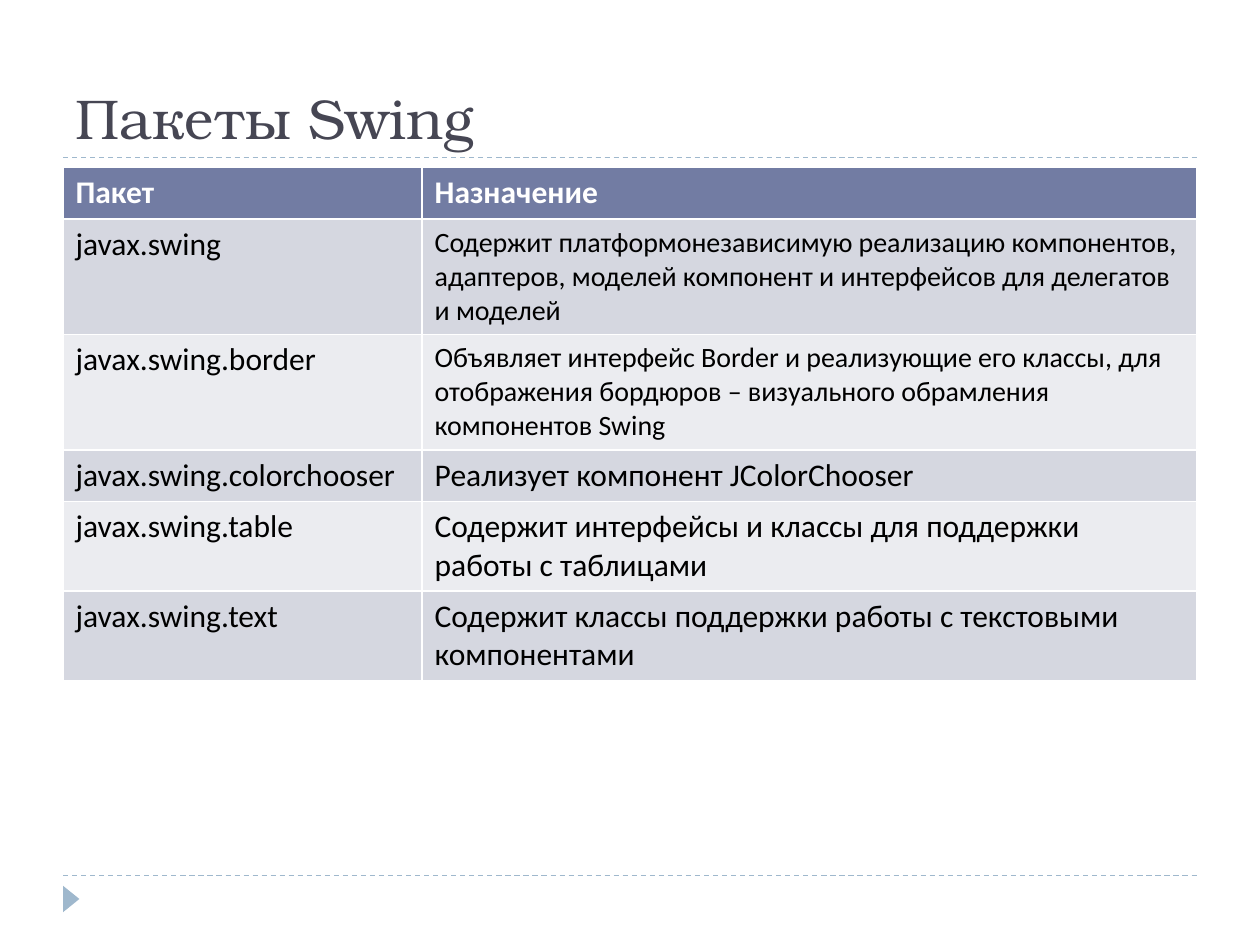
from lxml import etree
from pptx import Presentation
from pptx.dml.color import RGBColor
from pptx.enum.dml import MSO_LINE
from pptx.enum.shapes import MSO_CONNECTOR, MSO_SHAPE
from pptx.enum.text import MSO_ANCHOR, MSO_AUTO_SIZE, PP_ALIGN
from pptx.oxml.ns import qn
from pptx.util import Inches, Pt

DASH = MSO_LINE.DASH
STRAIGHT = MSO_CONNECTOR.STRAIGHT
TRIANGLE = MSO_SHAPE.ISOSCELES_TRIANGLE
BOTTOM = MSO_ANCHOR.BOTTOM
LEFT = PP_ALIGN.LEFT
FIXED = MSO_AUTO_SIZE.NONE

TITLE = "Пакеты Swing"
HEAD = ("Пакет", "Назначение")
ROWS = [
    ("javax.swing",
     "Содержит платформонезависимую реализацию компонентов, адаптеров, "
     "моделей компонент и интерфейсов для делегатов и моделей", "small"),
    ("javax.swing.border",
     "Объявляет интерфейс Border и реализующие его классы, для отображения "
     "бордюров – визуального обрамления компонентов Swing", "small"),
    ("javax.swing.colorchooser", "Реализует компонент JColorChooser", "body"),
    ("javax.swing.table",
     "Содержит интерфейсы и классы для поддержки\nработы с таблицами", "body"),
    ("javax.swing.text",
     "Содержит классы поддержки работы с текстовыми\nкомпонентами", "body"),
]
THEME = {
    "serif": "TeX Gyre Bonum", "sans": "Calibri",
    "title": 32, "body": 18, "small": 16,
    "dark": "464653", "accent": "9FB8CD", "head": "727CA3",
    "bands": ("D5D7E0", "EBECF0"), "white": "FFFFFF", "black": "000000",
}
EDGE, WIDTH = 0.5, 9
RULES = (6.95, 1.25)
COLS = (2.85, 6.15)
TOP, STEP = 1.33, 0.41


def color(name):
    return RGBColor.from_string(THEME.get(name, name))


def style(frame, face, size, ink, bold=False):
    for para in frame.paragraphs:
        para.alignment = LEFT
        font = para.font
        font.name, font.size, font.bold = THEME[face], Pt(THEME[size]), bold
        font.color.rgb = color(ink)


def fill(item, name):
    item.fill.solid()
    item.fill.fore_color.rgb = color(name)


def put(cell, text, size, ink, back, bold=False):
    cell.text_frame.text = text
    style(cell.text_frame, "sans", size, ink, bold)
    fill(cell, back)


deck = Presentation()
deck.slide_width, deck.slide_height = Inches(10), Inches(7.5)
slide = deck.slides.add_slide(deck.slide_layouts[5])
shapes = slide.shapes

for y in RULES:
    rule = shapes.add_connector(
        STRAIGHT, Inches(EDGE), Inches(y), Inches(EDGE + WIDTH), Inches(y))
    rule.line.color.rgb = color("accent")
    rule.line.width = Pt(0.75)
    rule.line.dash_style = DASH
    etree.SubElement(rule._element.spPr, qn("a:effectLst"))

mark = shapes.add_shape(
    TRIANGLE, Inches(0.46), Inches(7.07), Inches(0.21), Inches(0.13))
mark.rotation = 90
mark.shadow.inherit = False
fill(mark, "accent")
mark.line.fill.background()

title = shapes.title
title.left, title.top = Inches(EDGE), Inches(0.17)
title.width, title.height = Inches(WIDTH), Inches(1.08)
frame = title.text_frame
frame.text = TITLE
frame.auto_size = FIXED
frame.vertical_anchor = BOTTOM
style(frame, "serif", "title", "dark")

table = shapes.add_table(
    len(ROWS) + 1, len(COLS), Inches(EDGE), Inches(TOP),
    Inches(WIDTH), Inches(STEP * (len(ROWS) + 1))).table
for col, width in zip(table.columns, COLS):
    col.width = Inches(width)
for row in table.rows:
    row.height = Inches(STEP)
for i, text in enumerate(HEAD):
    put(table.cell(0, i), text, "body", "white", "head", True)
for i, (name, text, size) in enumerate(ROWS):
    band = THEME["bands"][i % 2]
    put(table.cell(i + 1, 0), name, "body", "black", band)
    put(table.cell(i + 1, 1), text, size, "black", band)

deck.save("out.pptx")
